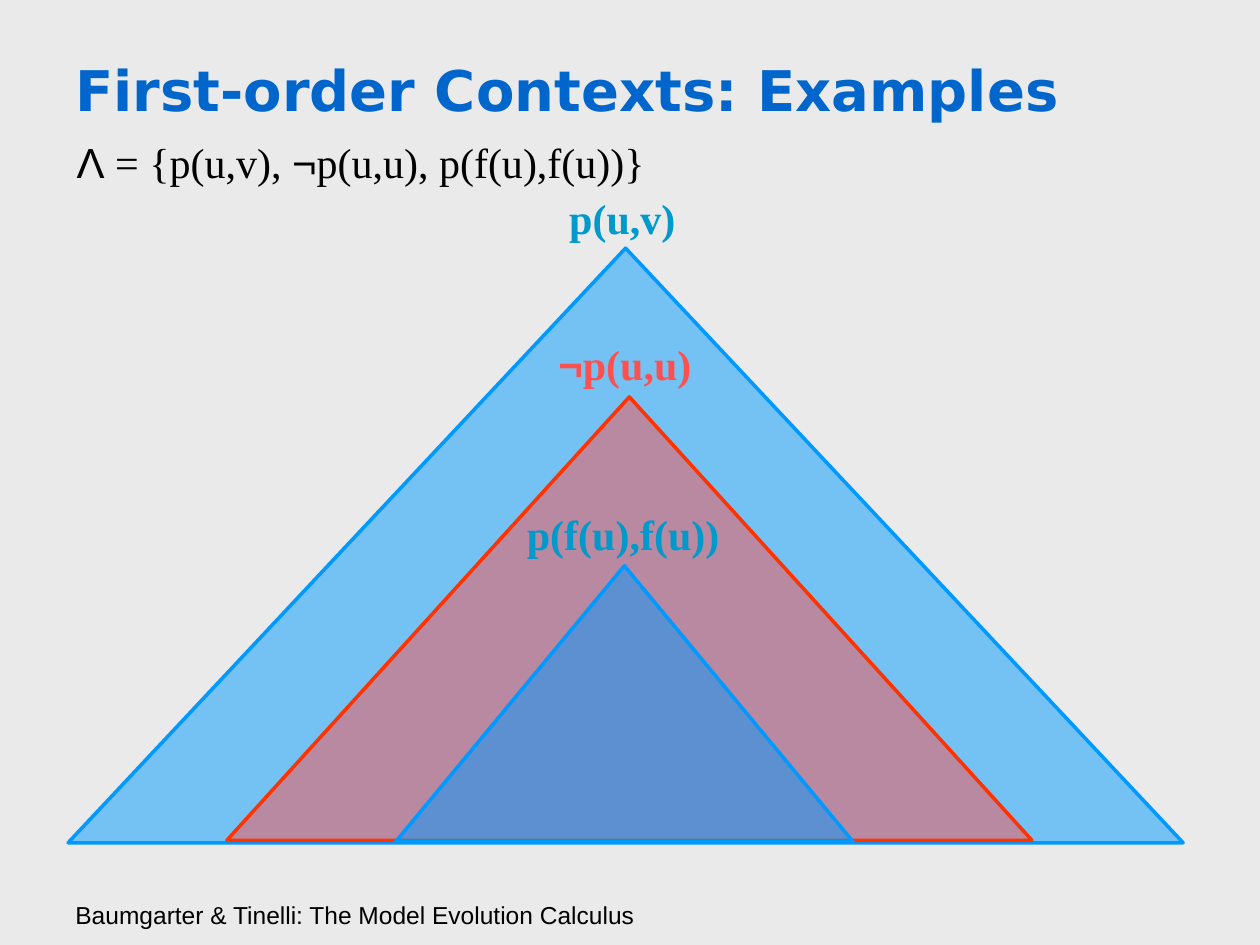
from collections import namedtuple
from dataclasses import dataclass

from lxml.etree import SubElement
from pptx import Presentation
from pptx.dml.color import RGBColor as RGB
from pptx.enum.shapes import MSO_SHAPE
from pptx.enum.text import MSO_ANCHOR as Anchor, MSO_AUTO_SIZE as AutoSize, PP_ALIGN as Align
from pptx.oxml.ns import qn
from pptx.util import Pt

Box = namedtuple("Box", "left top width height")


@dataclass(frozen=True)
class Theme:
    background = RGB(0xEA, 0xEA, 0xEA)
    title = RGB(0x00, 0x66, 0xCC)
    text = RGB(0, 0, 0)
    positive = RGB(0x00, 0x99, 0xFF)
    positive_label = RGB(0x00, 0x99, 0xCC)
    negative = RGB(0xFF, 0x50, 0x50)
    negative_line = RGB(0xFF, 0x33, 0x00)
    title_size = Pt(32)
    formula_size = Pt(24)
    footer_size = Pt(14)
    title_font = "DejaVu Sans"
    formula_font = "Times New Roman"
    plain_font = "Arial"


THEME = Theme()

# Triangle and label boxes are relative to the diagram box
Literal = namedtuple("Literal", "runs triangle label fill line text")
LITERALS = [
    Literal(["p(u,v)"], Box(0, 35.2, 637.2, 339.8), Box(279.3, 0, 74.9, 36),
            THEME.positive, THEME.positive, THEME.positive_label),
    Literal(["¬", "p(u,u)"], Box(90.7, 120.2, 460.1, 253.4), Box(272.1, 83.5, 92.2, 36),
            THEME.negative, THEME.negative_line, THEME.negative),
    Literal(["p(f(u),f(u))"], Box(187.2, 216.7, 261.4, 157.7), Box(254.9, 180.7, 124.6, 36),
            THEME.positive, THEME.positive, THEME.positive_label),
]


def points(box):
    return [Pt(length) for length in box]


def inside(outer, box):
    return Box(outer.left + box.left, outer.top + box.top, box.width, box.height)


def add_text(s, box, runs, size, color, font, bold=False, align=Align.LEFT,
             anchor=Anchor.TOP, wrap=True):
    """Add one line of text; logic symbols use the plain font."""
    tf = s.shapes.add_textbox(*points(box)).text_frame
    tf.word_wrap = wrap
    tf.auto_size = AutoSize.NONE if wrap else AutoSize.SHAPE_TO_FIT_TEXT
    tf.vertical_anchor = anchor
    p = tf.paragraphs[0]
    p.alignment = align
    p.font.size, p.font.bold, p.font.name = size, bold, font
    p.font.color.rgb = color
    for text in runs:
        r = p.add_run()
        r.text = text
        r.font.size, r.font.bold = size, bold
        r.font.name = THEME.plain_font if text in ("Λ", "¬") else font
        r.font.color.rgb = color


def add_formula(s, box, runs, color=THEME.text, **style):
    add_text(s, box, runs, THEME.formula_size, color, THEME.formula_font, wrap=False, **style)


def add_triangle(s, box, fill, line):
    sp = s.shapes.add_shape(MSO_SHAPE.ISOSCELES_TRIANGLE, *points(box))
    sp.shadow.inherit = False
    sp.fill.solid()
    sp.fill.fore_color.rgb = fill
    color = sp.element.spPr.find(qn("a:solidFill"))[0]
    SubElement(color, qn("a:alpha")).set("val", "50000")
    sp.line.color.rgb = line
    sp.line.width = Pt(2)


def add_header(s, box):
    add_text(s, Box(box.left, box.top, box.width, 58.3), ["First-order Contexts: Examples"],
             THEME.title_size, THEME.title, THEME.title_font, bold=True, anchor=Anchor.MIDDLE)
    add_formula(s, inside(box, Box(0.7, 52.6, 347, 36)),
                ["Λ", " = {p(u,v), ", "¬", "p(u,u), p(f(u),f(u))}"])


def add_context_diagram(s, box):
    """Nest one labelled triangle per literal, from most to least general."""
    for literal in LITERALS:
        add_triangle(s, inside(box, literal.triangle), literal.fill, literal.line)
        add_formula(s, inside(box, literal.label), literal.runs, literal.text,
                    bold=True, align=Align.CENTER)


def add_footer(s, box):
    add_text(s, box, ["Baumgarter & Tinelli: The Model Evolution Calculus"],
             THEME.footer_size, THEME.text, THEME.plain_font)


def main():
    prs = Presentation()
    prs.slide_width, prs.slide_height = Pt(720), Pt(540)
    s = prs.slides.add_slide(prs.slide_layouts[6])
    s.background.fill.solid()
    s.background.fill.fore_color.rgb = THEME.background
    add_header(s, Box(36, 21.6, 648, 88.6))
    add_context_diagram(s, Box(38.9, 106.6, 637.2, 375))
    add_footer(s, Box(36, 510.5, 461.5, 18.7))
    prs.save("out.pptx")


if __name__ == "__main__":
    main()
